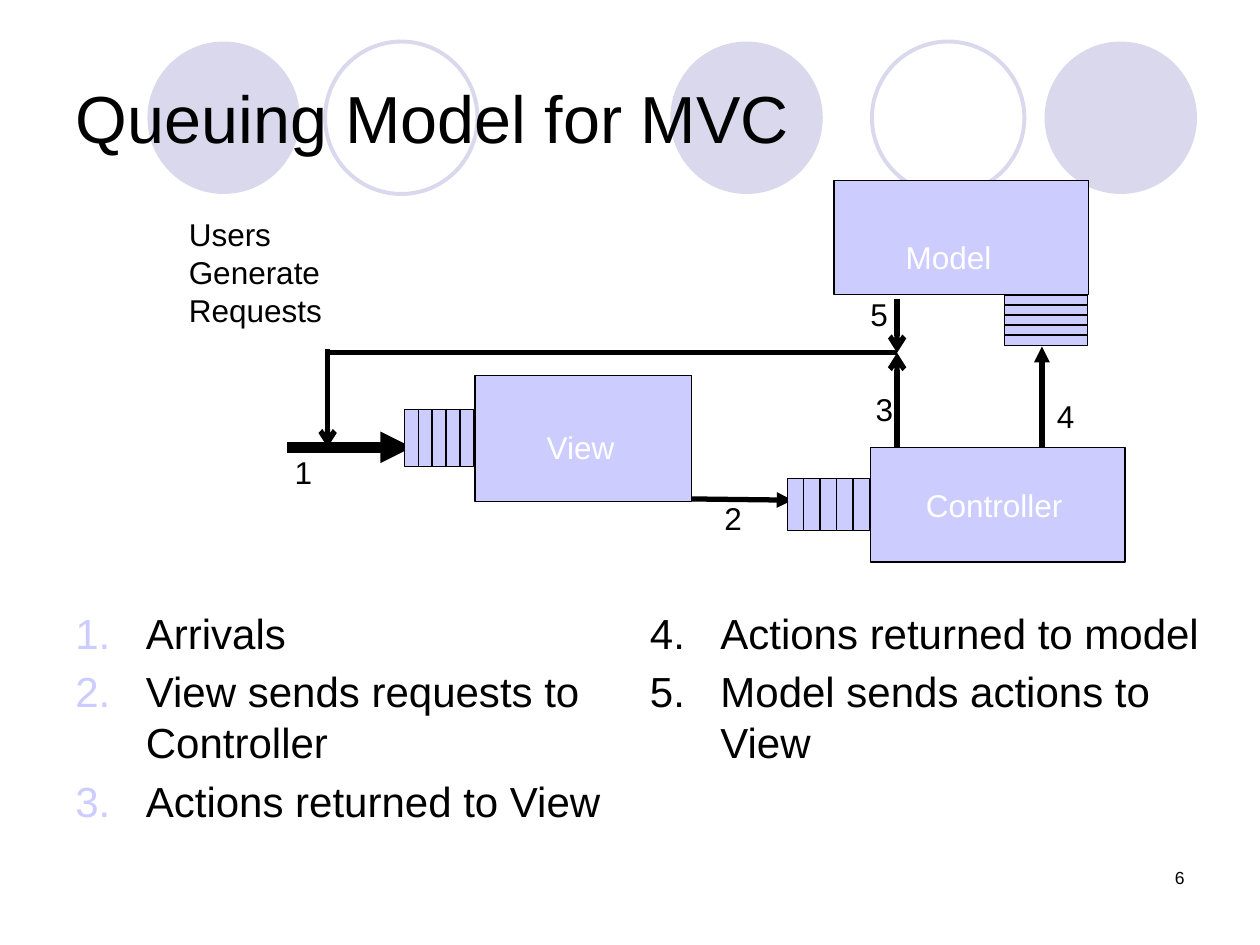
from dataclasses import dataclass

from lxml import etree
from pptx import Presentation
from pptx.dml.color import RGBColor
from pptx.enum import shapes, text
from pptx.oxml import ns
from pptx.util import Inches, Pt


@dataclass(frozen=True)
class Theme:
    font: str = "Arial"
    ink: RGBColor = RGBColor(0, 0, 0)
    white: RGBColor = RGBColor(255, 255, 255)
    box: RGBColor = RGBColor(0xCC, 0xCC, 0xFF)
    circle: RGBColor = RGBColor(0xD9, 0xD8, 0xEC)
    title: int = 38
    body: int = 24
    label: int = 18
    number: int = 10


THEME = Theme()


def add_child(parent, tag, **attrs):
    return etree.SubElement(parent, ns.qn(tag), attrs)


def style_text(p, size, color=THEME.ink):
    for r in p.runs:
        r.font.name = THEME.font
        r.font.size = Pt(size)
        r.font.color.rgb = color


def add_shape(s, kind, x, y, w, h, fill=None, line=None, weight=0.75):
    sp = s.shapes.add_shape(kind, Inches(x), Inches(y), Inches(w), Inches(h))
    sp.shadow.inherit = False
    if fill is None:
        sp.fill.background()
    else:
        sp.fill.solid()
        sp.fill.fore_color.rgb = fill
    if line is None:
        sp.line.fill.background()
    else:
        sp.line.color.rgb = line
        sp.line.width = Pt(weight)
    return sp


def add_box(s, x, y, w, h):
    add_shape(s, shapes.MSO_SHAPE.RECTANGLE, x, y, w, h, THEME.box, THEME.ink)


def add_queue(s, x, y, w, h, dx=0, dy=0, slots=5):
    """Draw a row (dx) or a stack (dy) of equal slots."""
    for i in range(slots):
        add_box(s, x + i * dx, y + i * dy, w, h)


def add_text(s, content, x, y, w, h, size=THEME.label, color=THEME.ink, wrap=True):
    sp = s.shapes.add_textbox(Inches(x), Inches(y), Inches(w), Inches(h))
    tf = sp.text_frame
    tf.word_wrap = wrap
    tf.text = content
    p = tf.paragraphs[0]
    style_text(p, size, color)
    return p


def add_list(s, items, x, y, w, h, start=1, number_color=THEME.ink):
    sp = s.shapes.add_textbox(Inches(x), Inches(y), Inches(w), Inches(h))
    tf = sp.text_frame
    tf.word_wrap = True
    for i, item in enumerate(items):
        p = tf.add_paragraph() if i else tf.paragraphs[0]
        p.text = item
        if i:
            p.space_before = Pt(0.2 * THEME.body)
        pPr = p._p.get_or_add_pPr()
        pPr.set("marL", str(Inches(0.56)))
        pPr.set("indent", str(Inches(-0.56)))
        color = add_child(pPr, "a:buClr")
        add_child(color, "a:srgbClr", val=str(number_color))
        add_child(pPr, "a:buFont", typeface=THEME.font)
        add_child(pPr, "a:buAutoNum", type="arabicPeriod", startAt=str(start))
        style_text(p, THEME.body)


def add_line(s, x1, y1, x2, y2, tip=None, weight=3):
    line = s.shapes.add_connector(shapes.MSO_CONNECTOR.STRAIGHT,
                                  Inches(x1), Inches(y1), Inches(x2), Inches(y2))
    line.line.color.rgb = THEME.ink
    line.line.width = Pt(weight)
    if tip:
        add_child(line.line._get_or_add_ln(), "a:tailEnd", type=tip)
    add_child(line._element.spPr, "a:effectLst")


def add_circles(s):
    oval = shapes.MSO_SHAPE.OVAL
    for x in (1.17, 5.32, 8.29):
        add_shape(s, oval, x, 0.33, 1.21, 1.21, fill=THEME.circle)
    for x in (2.58, 6.92):
        add_shape(s, oval, x, 0.33, 1.21, 1.21, line=THEME.circle, weight=2.25)


def add_title(s, content):
    sp = s.shapes.title
    sp.left, sp.top, sp.width, sp.height = map(Inches, (0.5, 0.3, 9, 1.25))
    tf = sp.text_frame
    tf.text = content
    tf.vertical_anchor = text.MSO_ANCHOR.MIDDLE
    p = tf.paragraphs[0]
    p.alignment = text.PP_ALIGN.LEFT
    style_text(p, THEME.title)
    s.shapes._spTree.append(sp._element)  # in front of the circles


def add_diagram(s):
    join_x, join_y, return_x = 7.12, 2.8, 2.6
    add_line(s, 2.28, 3.55, 3.27, 3.55, "triangle", weight=6)
    add_line(s, 5.49, 3.96, 6.29, 3.97, "triangle")
    add_line(s, 8.27, 3.55, 8.27, 2.75, "triangle")
    add_line(s, join_x, join_y, return_x, join_y)
    add_line(s, return_x, 2.77, return_x, 3.55, "arrow")
    add_line(s, join_x, 3.55, join_x, join_y, "arrow")
    add_line(s, join_x, 2.37, join_x, join_y, "arrow")

    add_queue(s, 3.21, 3.25, 0.11, 0.45, dx=0.11)
    add_queue(s, 6.25, 3.8, 0.13, 0.41, dx=0.13)
    add_queue(s, 7.97, 2.34, 0.66, 0.08, dy=0.08)

    add_box(s, 3.77, 2.98, 1.72, 1)
    add_box(s, 6.91, 3.55, 2.02, 0.91)
    add_box(s, 6.62, 1.43, 2.02, 0.91)
    for name, x, y, w in (("View", 4.24, 3.35, 0.77),
                          ("Controller", 7.25, 3.81, 1.44),
                          ("Model", 7.09, 1.84, 0.96)):
        add_text(s, name, x, y, w, 0.4, color=THEME.white)

    add_text(s, "Users Generate Requests", 1.4, 1.66, 1.38, 1.31)
    for step, x, y in (("1", 2.24, 3.55), ("2", 5.65, 3.91), ("3", 6.85, 3.05),
                       ("4", 8.29, 3.1), ("5", 6.81, 2.29)):
        add_text(s, step, x, y, 0.32, 0.4, wrap=False)


def main():
    prs = Presentation()
    prs.slide_width, prs.slide_height = Inches(10), Inches(7.5)
    s = prs.slides.add_slide(prs.slide_layouts[5])
    add_circles(s)
    add_title(s, "Queuing Model for MVC")
    add_diagram(s)
    add_list(s, ["Arrivals", "View sends requests to Controller",
                 "Actions returned to View"],
             0.5, 4.77, 4.67, 1.93, number_color=THEME.box)
    add_list(s, ["Actions returned to model", "Model sends actions to View"],
             5.06, 4.77, 4.67, 1.97, start=4)
    p = add_text(s, "6", 7.17, 6.83, 2.33, 0.5, THEME.number)
    p.alignment = text.PP_ALIGN.RIGHT
    prs.save("out.pptx")


if __name__ == "__main__":
    main()
